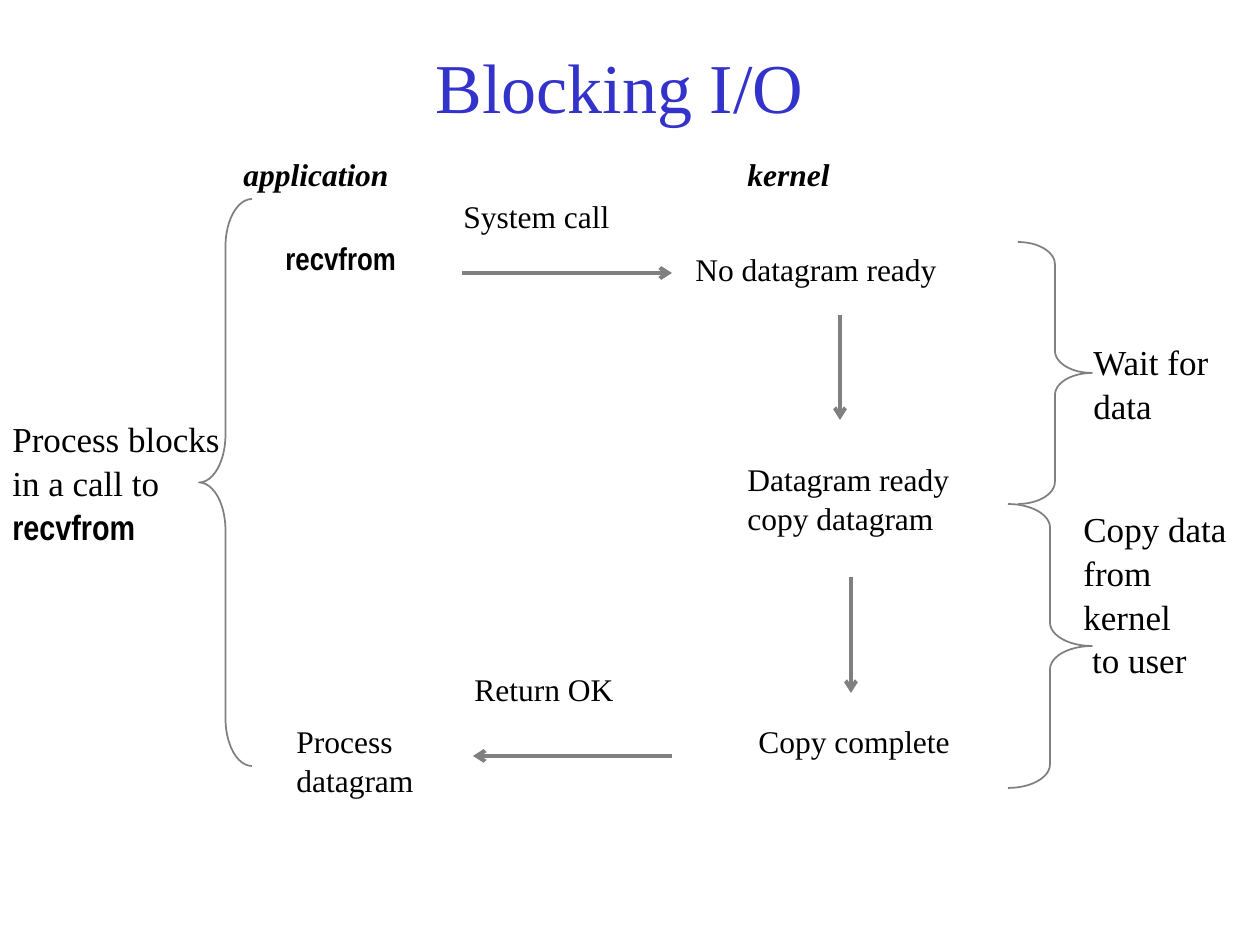
import pptx
import pptx.util
import pptx.dml.color
import pptx.enum.shapes
import pptx.enum.text
import pptx.oxml
import pptx.oxml.ns

PX = 914400 // 126
COLORS = {"title": "3333CC", "text": "000000", "line": "808080"}
SERIF, NARROW = "Times New Roman", "Arial Narrow"
HEAD = {"bold": True, "italic": True}
CODE = {"bold": True, "font": NARROW}

# Labels: left, top, width, height, lines, format
LABELS = [
    (231, 147, 219, 63, ["application"], HEAD),
    (735, 147, 135, 63, ["kernel"], HEAD),
    (273, 231, 173, 63, ["recvfrom"], CODE),
    (284, 714, 181, 113, ["Process", "datagram"], {}),
    (451, 189, 219, 63, ["System call"], {}),
    (462, 662, 210, 63, ["Return OK"], {}),
    (683, 242, 347, 63, ["No datagram ready"], {}),
    (735, 452, 295, 113, ["Datagram ready", "copy datagram"], {}),
    (746, 714, 281, 63, ["Copy complete"], {}),
    (0, 410, 241, 139, ["Process blocks", "in a call to", ("recvfrom", CODE)], {"size": 20}),
    (1081, 333, 151, 97, ["Wait for", "data"], {"size": 20}),
    (1071, 500, 189, 139, ["Copy data", "from kernel", " to user"], {"size": 20}),
]
# Arrows: from x, y, to x, y
ARROWS = [
    (462, 273, 672, 273),
    (840, 315, 840, 420),
    (851, 577, 851, 693),
    (672, 756, 473, 756),
]
# Braces: side, left, top, width, height, curve
BRACES = [
    ("LEFT_BRACE", 199, 199, 53, 567, 0.9),
    ("RIGHT_BRACE", 1018, 242, 74, 262, 0.3),
    ("RIGHT_BRACE", 1008, 504, 84, 284, 0.28),
]


def px(*nums):
    return [pptx.util.Emu(n * PX) for n in nums]


def rgb(name):
    return pptx.dml.color.RGBColor.from_string(COLORS[name])


def text(slide, box, lines, size=18, font=SERIF, color="text", bold=False,
         italic=False, align="LEFT", anchor="TOP"):
    frame = slide.shapes.add_textbox(*px(*box)).text_frame
    frame.word_wrap = True
    frame.vertical_anchor = getattr(pptx.enum.text.MSO_ANCHOR, anchor)
    for i, line in enumerate(lines):
        words, own = line if isinstance(line, tuple) else (line, {})
        para = frame.paragraphs[0] if i == 0 else frame.add_paragraph()
        para.alignment = getattr(pptx.enum.text.PP_ALIGN, align)
        para.line_spacing = 1.04
        run = para.add_run()
        run.text = words
        run.font.size = pptx.util.Pt(size)
        run.font.name = own.get("font", font)
        run.font.bold = own.get("bold", bold)
        run.font.italic = italic
        run.font.color.rgb = rgb(color)


def arrow(slide, ends):
    kind = pptx.enum.shapes.MSO_CONNECTOR.STRAIGHT
    link = slide.shapes.add_connector(kind, *px(*ends))
    link.line.color.rgb = rgb("line")
    link.line.width = pptx.util.Pt(2.25)
    props = link._element.spPr
    tail = pptx.oxml.parse_xml(
        f'<a:tailEnd {pptx.oxml.ns.nsdecls("a")} type="arrow"/>')
    props.find(pptx.oxml.ns.qn("a:ln")).append(tail)
    props.append(pptx.oxml.parse_xml(
        f'<a:effectLst {pptx.oxml.ns.nsdecls("a")}/>'))


def brace(slide, side, box, curve):
    kind = getattr(pptx.enum.shapes.MSO_SHAPE, side)
    shape = slide.shapes.add_shape(kind, *px(*box))
    shape.shadow.inherit = False
    shape.fill.background()
    shape.line.color.rgb = rgb("line")
    shape.line.width = pptx.util.Pt(1)
    shape.adjustments[0] = curve
    shape.adjustments[1] = 0.5


def main():
    deck = pptx.Presentation()
    deck.slide_width, deck.slide_height = px(1260, 945)
    slide = deck.slides.add_slide(deck.slide_layouts[6])

    # Time spans
    for side, *box, curve in BRACES:
        brace(slide, side, box, curve)

    # Flow of the call
    for ends in ARROWS:
        arrow(slide, ends)

    # Steps and notes
    for *box, lines, style in LABELS:
        text(slide, box, lines, **style)

    # Title
    text(slide, (84, 42, 1071, 84), ["Blocking I/O"], size=40,
         color="title", align="CENTER", anchor="MIDDLE")

    deck.save("out.pptx")


if __name__ == "__main__":
    main()
